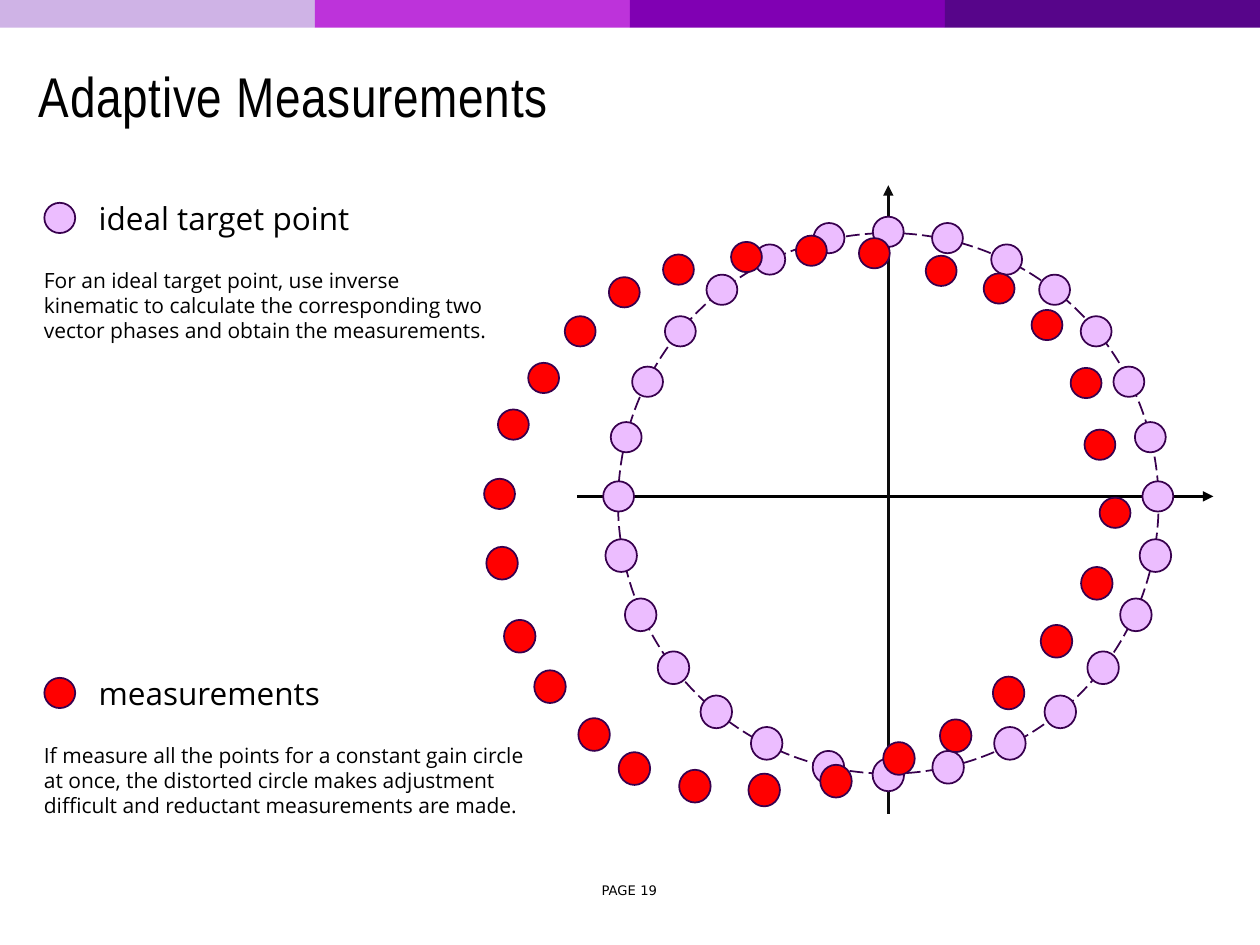
from lxml import etree
from pptx import Presentation
from pptx.dml.color import RGBColor
from pptx.enum.dml import MSO_LINE
from pptx.enum.shapes import MSO_CONNECTOR, MSO_SHAPE
from pptx.enum.text import MSO_ANCHOR, PP_ALIGN
from pptx.oxml.ns import qn
from pptx.util import Inches, Pt

RECT, OVAL = MSO_SHAPE.RECTANGLE, MSO_SHAPE.OVAL
STRAIGHT = MSO_CONNECTOR.STRAIGHT
LONG_DASH = MSO_LINE.LONG_DASH
TOP, MIDDLE = MSO_ANCHOR.TOP, MSO_ANCHOR.MIDDLE
LEFT, CENTER = PP_ALIGN.LEFT, PP_ALIGN.CENTER

BLACK = RGBColor(0x00, 0x00, 0x00)
AXIS = RGBColor(0x0C, 0x0C, 0x0C)
OUTLINE = RGBColor(0x38, 0x00, 0x4E)
IDEAL = RGBColor(0xEC, 0xBD, 0xFF)
MEASURED = RGBColor(0xFF, 0x00, 0x00)
BANDS = [RGBColor(0xCF, 0xB3, 0xE6), RGBColor(0xBD, 0x33, 0xDA),
         RGBColor(0x80, 0x00, 0xB3), RGBColor(0x57, 0x05, 0x8A)]

# The slide is a grid of 100 columns by 75 rows of square cells.
COLS, ROWS = 100, 75
SLIDE_W, SLIDE_H = Inches(10), Inches(7.5)
CELL = SLIDE_W // COLS

ORIGIN_X, ORIGIN_Y = 70.5, 39.4
RADIUS = 21.45

# Offsets from the origin in cells; each point is mirrored to the left.
IDEAL_OFFSETS = [
    (21.4, 0), (20.8, -4.7), (19.1, -9.1), (16.5, -13.1),
    (13.2, -16.4), (9.4, -18.8), (4.7, -20.5),
    (21.2, 4.7), (19.65, 9.4), (17.05, 13.6),
    (13.65, 17.1), (9.65, 19.6), (4.75, 21.5),
]
IDEAL_POLES = [(0, -21), (0, 22.1)]

# Centres in columns and rows, clockwise from the top.
MEASURED_POINTS = [
    (69.4, 20.1), (74.7, 21.5), (79.3, 22.9), (83.1, 25.8), (86.2, 30.4),
    (87.3, 35.3), (88.5, 40.7), (87.05, 46.3), (83.85, 50.9), (80.05, 55),
    (75.85, 58.4), (71.35, 60.2), (66.35, 62), (60.65, 62.7),
    (55.15, 62.4), (50.35, 61), (47.15, 58.3), (43.65, 54.5),
    (41.25, 50.5), (39.85, 44.7), (39.65, 39.2), (40.75, 33.7),
    (43.15, 30), (46.05, 26.3), (49.55, 23.2), (53.85, 21.4),
    (59.25, 20.4), (64.4, 19.9),
]


def cells(*values):
    return [round(v * CELL) for v in values]


def add_shape(slide, kind, box, fill=None, line=None, dash=None):
    sp = slide.shapes.add_shape(kind, *cells(*box))
    sp.shadow.inherit = False
    if fill is None:
        sp.fill.background()
    else:
        sp.fill.solid()
        sp.fill.fore_color.rgb = fill
    if line is None:
        sp.line.fill.background()
    else:
        sp.line.color.rgb = line
        sp.line.width = Pt(1)
        if dash:
            sp.line.dash_style = dash


def add_dot(slide, x, y, fill):
    """Add a dot centred on x, y; dots below the horizontal axis are larger."""
    w, h = (2.5, 2.6) if ORIGIN_Y + 2 < y < 65 and x > 10 else (2.45, 2.4)
    add_shape(slide, OVAL, (x - w / 2, y - h / 2, w, h), fill, OUTLINE)


def add_arrow(slide, ends, color):
    line = slide.shapes.add_connector(STRAIGHT, *cells(*ends))
    line.line.color.rgb = color
    line.line.width = Pt(1.5)
    ln = line.line._get_or_add_ln()
    etree.SubElement(ln, qn("a:tailEnd"), type="triangle")
    etree.SubElement(line._element.spPr, qn("a:effectLst"))


def add_text(slide, text, box, size=12, font="Open Sans", align=LEFT,
             anchor=TOP, line_spacing=None, tracking=None):
    tf = slide.shapes.add_textbox(*cells(*box)).text_frame
    tf.word_wrap = True
    tf.vertical_anchor = anchor
    p = tf.paragraphs[0]
    p.alignment = align
    if line_spacing:
        p.line_spacing = line_spacing
    r = p.add_run()
    r.text = text
    r.font.size = Pt(size)
    r.font.name = font
    r.font.color.rgb = BLACK
    if tracking:
        r._r.get_or_add_rPr().set("spc", str(round(tracking * 100)))


def add_frame(slide):
    band_w = COLS / len(BANDS)
    for i, color in enumerate(BANDS):
        add_shape(slide, RECT, (i * band_w, 0, band_w, 2.2), color)
    add_text(slide, "PAGE 19", (45.8, 69.3, 8.3, 2.7), size=7.5,
             font="DejaVu Sans", align=CENTER, anchor=MIDDLE)
    add_text(slide, "Adaptive Measurements", (2.1, 3.1, 94.9, 9.8), size=32,
             font="Arial Narrow", anchor=MIDDLE, line_spacing=0.85,
             tracking=0.4)


def add_plot(slide):
    add_arrow(slide, (45.8, ORIGIN_Y, 96.3, ORIGIN_Y), BLACK)
    add_arrow(slide, (ORIGIN_X, 64.6, ORIGIN_X, 14.7), AXIS)
    add_shape(slide, OVAL, (ORIGIN_X - RADIUS, 18.5, 2 * RADIUS, 2 * RADIUS),
              line=OUTLINE, dash=LONG_DASH)
    mirrored = [(-dx, dy) for dx, dy in IDEAL_OFFSETS]
    for dx, dy in IDEAL_POLES + IDEAL_OFFSETS + mirrored:
        add_dot(slide, ORIGIN_X + dx, ORIGIN_Y + dy, IDEAL)
    for x, y in MEASURED_POINTS:
        add_dot(slide, x, y, MEASURED)


def add_legend(slide, top, color, label, note, note_width):
    add_dot(slide, 4.75, top + 2, color)
    add_text(slide, label, (6.85, top, 31.3, 4), size=18)
    add_text(slide, note, (2.5, top + 5.4, note_width, 7.1))


def main():
    prs = Presentation()
    prs.slide_width, prs.slide_height = SLIDE_W, SLIDE_H
    slide = prs.slides.add_slide(prs.slide_layouts[6])
    add_frame(slide)
    add_plot(slide)
    add_legend(slide, 15.3, IDEAL, "ideal target point",
               "For an ideal target point, use inverse kinematic to calculate "
               "the corresponding two vector phases and obtain the "
               "measurements.", 37.5)
    add_legend(slide, 53, MEASURED, "measurements",
               "If measure all the points for a constant gain circle at once, "
               "the distorted circle makes adjustment difficult and reductant "
               "measurements are made.", 40.5)
    prs.save("out.pptx")


if __name__ == "__main__":
    main()
